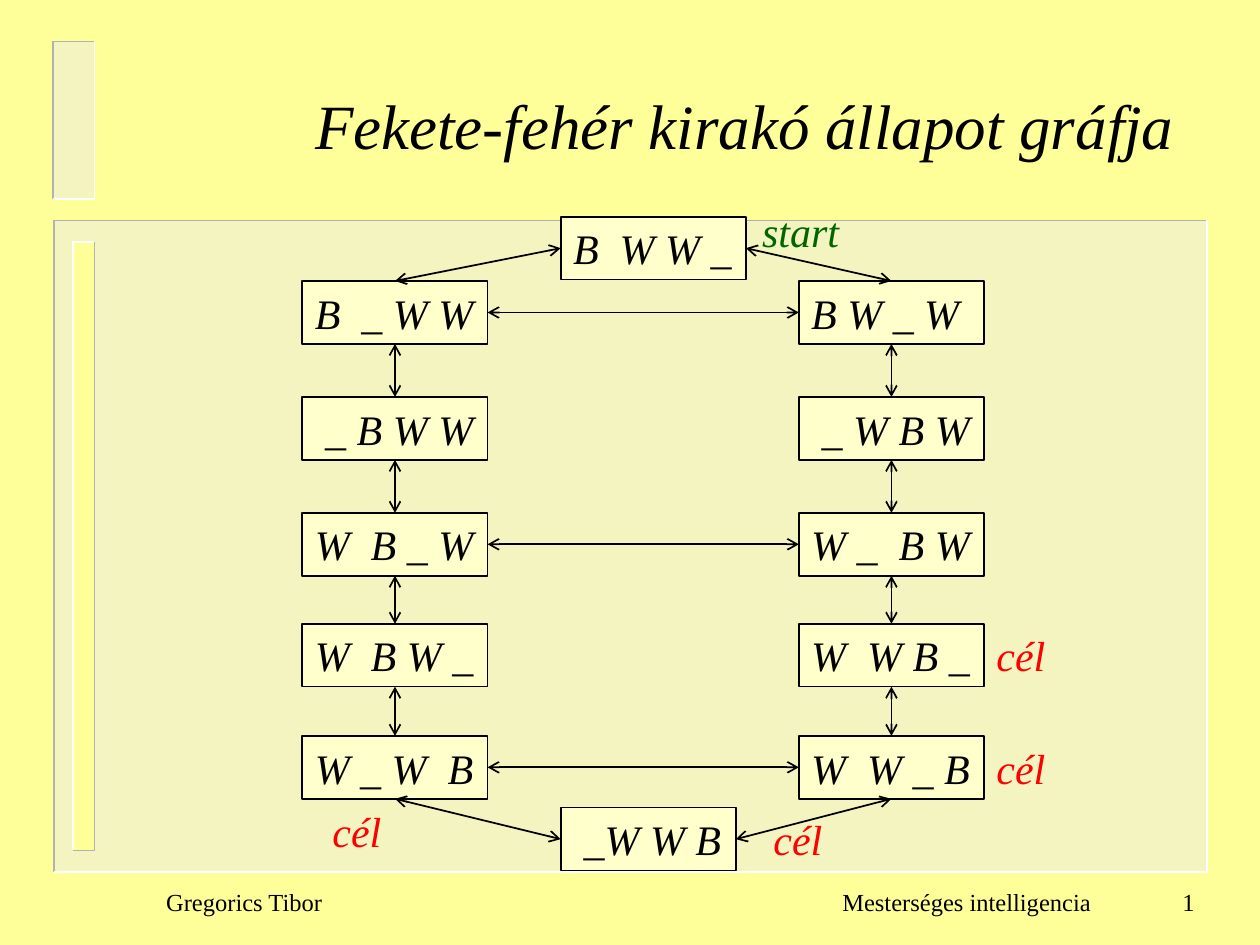
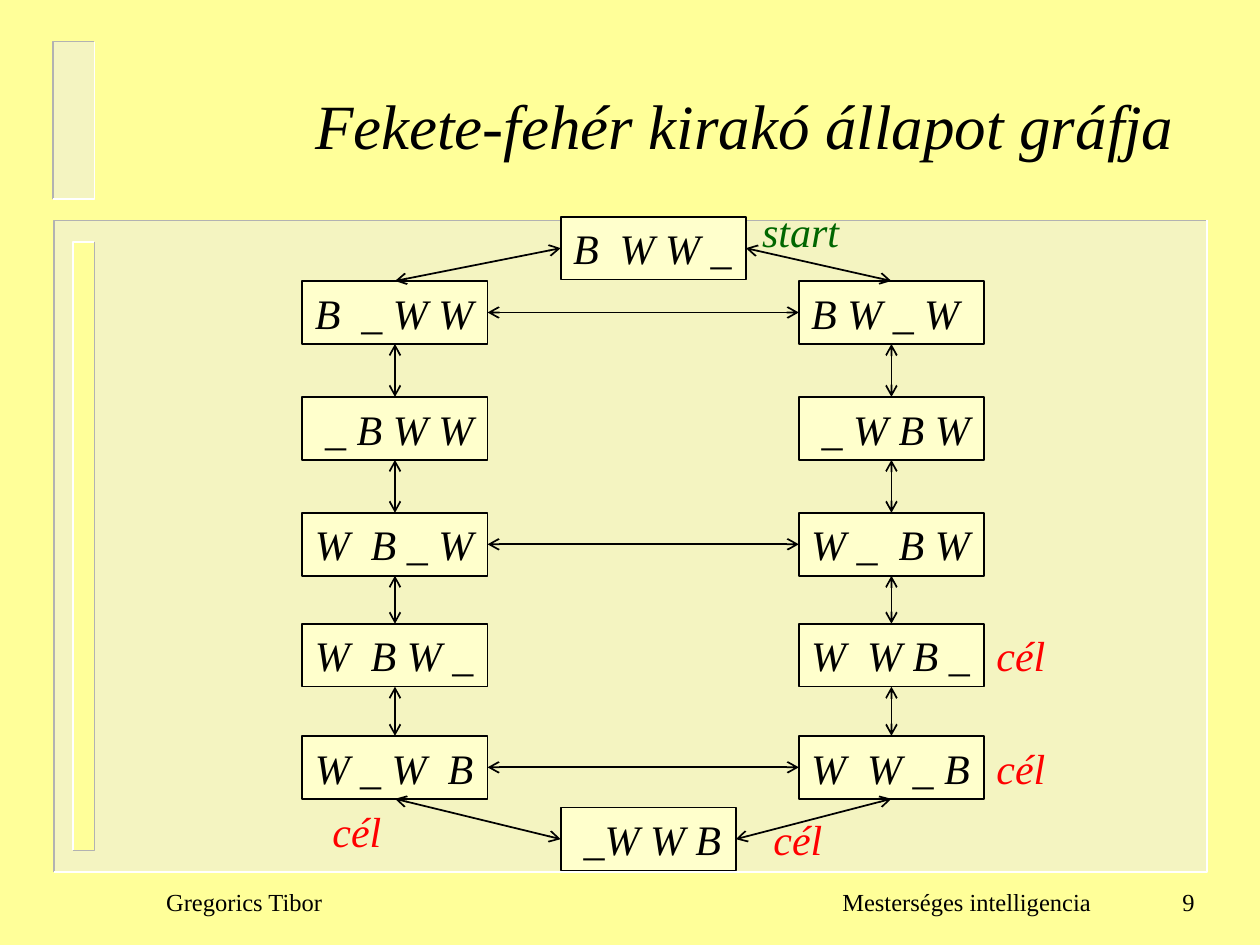
import pptx
import pptx.util
import pptx.dml.color
import pptx.enum.shapes
import pptx.enum.text
import pptx.oxml
import lxml.etree

Inches, Pt = pptx.util.Inches, pptx.util.Pt
RGBColor = pptx.dml.color.RGBColor
ALIGN = pptx.enum.text.PP_ALIGN
ANCHOR = pptx.enum.text.MSO_ANCHOR
AUTO_SIZE = pptx.enum.text.MSO_AUTO_SIZE
RECTANGLE = pptx.enum.shapes.MSO_SHAPE.RECTANGLE
STRAIGHT = pptx.enum.shapes.MSO_CONNECTOR.STRAIGHT

YELLOW = RGBColor(0xFF, 0xFF, 0x99)
CREAM = RGBColor(0xFF, 0xFF, 0xCC)
PALE_GREY = RGBColor(0xEA, 0xEA, 0xEA)
GREY = RGBColor(0xB2, 0xB2, 0xB2)
WHITE = RGBColor(0xFF, 0xFF, 0xFF)
BLACK = RGBColor(0, 0, 0)
GREEN = RGBColor(0, 0x66, 0)
RED = RGBColor(0xFF, 0, 0)
FONT = "Times New Roman"

# Bands: left, top, width, height, fill, half transparent, upper edge, lower edge
BANDS = [
    (0.43, 1.75, 9.15, 5.17, PALE_GREY, True, GREY, WHITE),
    (0.58, 1.92, 0.17, 4.83, YELLOW, False, WHITE, GREY),
    (0.42, 0.33, 0.33, 1.25, PALE_GREY, True, GREY, WHITE),
]

# States of the puzzle: left and right column, row by row
COLUMN_LEFTS = (2.4, 6.34)
ROWS = [
    (2.23, "B  _ W W", "B W _ W "),
    (3.15, " _ B W W", " _ W B W"),
    (4.07, "W  B _ W", "W _  B W"),
    (4.95, "W  B W _", "W  W B _"),
    (5.84, "W _ W  B", "W  W _ B"),
]
STATES = {"start": (4.45, 1.72, 1.47, "B  W W _"),
          "end": (4.45, 6.41, 1.39, " _W W B")}
for row, (top, *texts) in enumerate(ROWS):
    for column, text in enumerate(texts):
        STATES[column, row] = (COLUMN_LEFTS[column], top, 1.47, text)

# Links: state, its side, state, its side
TOP, LEFT, BOTTOM, RIGHT = range(4)
LAST = len(ROWS) - 1
LINKS = [
    ("start", LEFT, (0, 0), TOP), ("start", RIGHT, (1, 0), TOP),
    ("end", LEFT, (0, LAST), BOTTOM), ("end", RIGHT, (1, LAST), BOTTOM),
]
LINKS += [((1, row), LEFT, (0, row), RIGHT) for row in (0, 2, LAST)]
LINKS += [((column, row + 1), TOP, (column, row), BOTTOM)
          for column in range(2) for row in range(LAST)]

LABELS = [
    (5.95, 1.58, 0.82, "start", GREEN),
    (7.81, 4.95, 0.59, "cél", RED),
    (7.81, 5.84, 0.59, "cél", RED),
    (6.04, 6.41, 0.59, "cél", RED),
    (2.54, 6.34, 0.59, "cél", RED),
]


def write(box, text, size=24, color=BLACK, italic=True, align=ALIGN.LEFT,
          anchor=ANCHOR.TOP, grow=True):
    frame = box.text_frame
    frame.word_wrap = not grow
    frame.auto_size = AUTO_SIZE.SHAPE_TO_FIT_TEXT if grow else AUTO_SIZE.NONE
    frame.vertical_anchor = anchor
    para = frame.paragraphs[0]
    para.alignment = align
    span = para.add_run()
    span.text = text
    span.font.name = FONT
    span.font.size = Pt(size)
    span.font.italic = italic
    span.font.color.rgb = color


def add_xml(parent, tag, **attributes):
    name = pptx.oxml.ns.qn(tag)
    return lxml.etree.SubElement(parent, name, attributes)


deck = pptx.Presentation()
deck.slide_width, deck.slide_height = Inches(10), Inches(7.5)
deck.slide_master.background.fill.solid()
deck.slide_master.background.fill.fore_color.rgb = YELLOW

for number in ("1", "9"):
    page = deck.slides.add_slide(deck.slide_layouts[5])
    shapes = page.shapes

    # Bands with bevelled edges
    for left, top, width, height, color, clear, upper, lower in BANDS:
        band = shapes.add_shape(RECTANGLE, Inches(left), Inches(top),
                                Inches(width), Inches(height))
        band.shadow.inherit = False
        band.line.fill.background()
        band.fill.solid()
        band.fill.fore_color.rgb = color
        if clear:
            tint = band.fill._xPr.find(".//" + pptx.oxml.ns.qn("a:srgbClr"))
            add_xml(tint, "a:alpha", val="50000")
        right, bottom = left + width, top + height
        for corner, edge_color in (((left, top), upper), ((right, bottom), lower)):
            points = [(Inches(x), Inches(y))
                      for x, y in ((left, bottom), corner, (right, top))]
            builder = shapes.build_freeform(*points[0])
            builder.add_line_segments(points[1:], close=False)
            edge = builder.convert_to_shape()
            edge.shadow.inherit = False
            edge.fill.background()
            edge.line.color.rgb = edge_color
            edge.line.width = Pt(1)

    # Title
    title = shapes.title
    title.left, title.top = Inches(0.92), Inches(0.38)
    title.width, title.height = Inches(8.5), Inches(1.21)
    write(title, "Fekete-fehér kirakó állapot gráfja", size=36,
          align=ALIGN.RIGHT, anchor=ANCHOR.MIDDLE, grow=False)

    # State boxes
    boxes = {}
    for state, (left, top, width, text) in STATES.items():
        box = shapes.add_shape(RECTANGLE, Inches(left), Inches(top),
                               Inches(width), Inches(0.5))
        box.shadow.inherit = False
        box.fill.solid()
        box.fill.fore_color.rgb = CREAM
        box.line.color.rgb = BLACK
        box.line.width = Pt(1)
        write(box, text)
        boxes[state] = box

    # Two-way arrows between the states
    for first, first_side, second, second_side in LINKS:
        arrow = shapes.add_connector(STRAIGHT, 0, 0, 0, 0)
        arrow.begin_connect(boxes[first], first_side)
        arrow.end_connect(boxes[second], second_side)
        arrow.line.color.rgb = BLACK
        arrow.line.width = Pt(1)
        line = arrow.line._get_or_add_ln()
        add_xml(line, "a:headEnd", type="arrow")
        add_xml(line, "a:tailEnd", type="arrow")
        add_xml(arrow._element.spPr, "a:effectLst")

    # Start and goal labels
    for left, top, width, text, color in LABELS:
        label = shapes.add_textbox(Inches(left), Inches(top),
                                   Inches(width), Inches(0.5))
        write(label, text, color=color)

    # Footer
    for left, width, text, align in (
            (1.22, 3, "Gregorics Tibor", ALIGN.LEFT),
            (5.76, 3, "Mesterséges intelligencia", ALIGN.RIGHT),
            (7.5, 2.08, number, ALIGN.RIGHT)):
        footer = shapes.add_textbox(Inches(left), Inches(6.91),
                                    Inches(width), Inches(0.5))
        write(footer, text, size=14, italic=False, align=align,
              anchor=ANCHOR.MIDDLE, grow=False)

deck.save("out.pptx")
